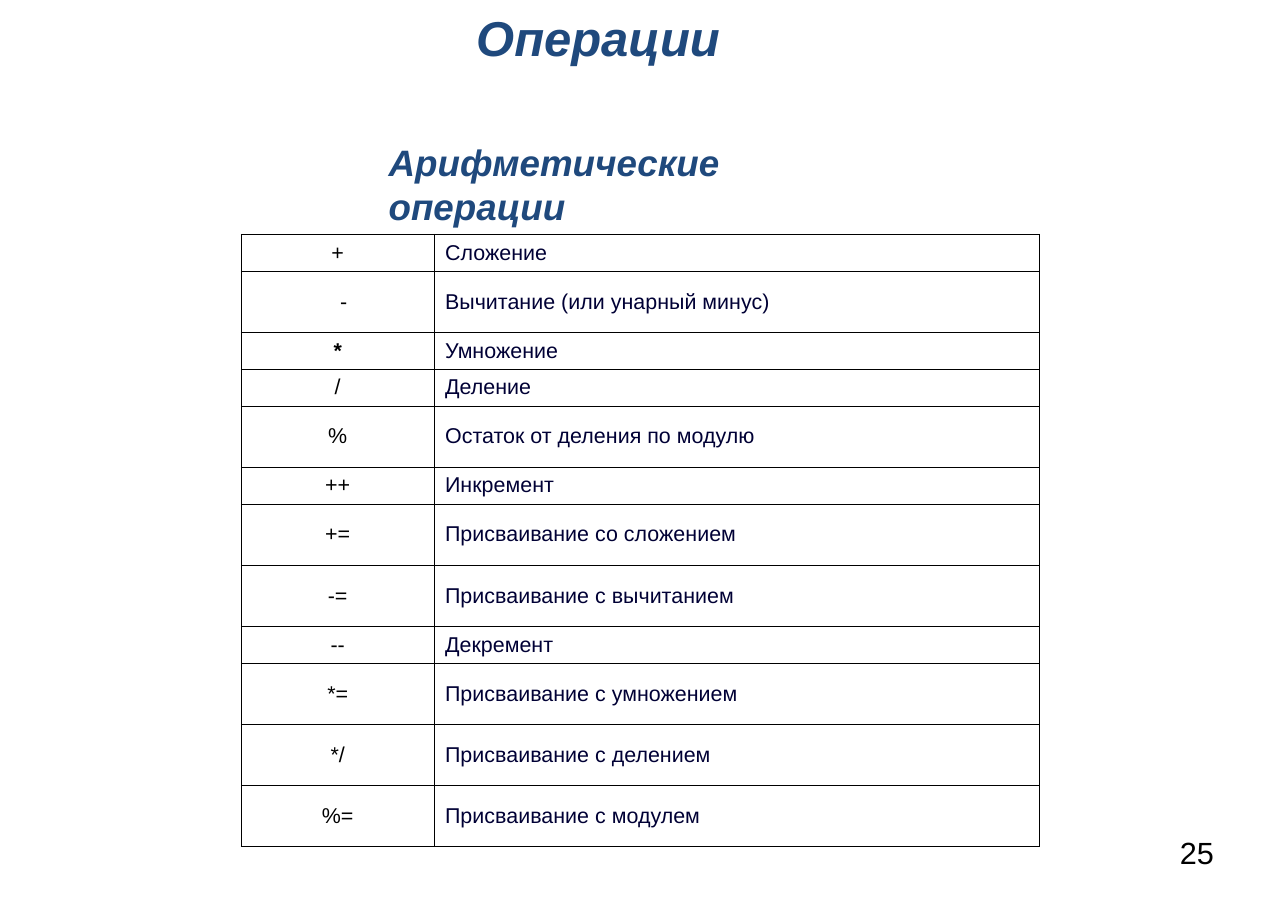
from dataclasses import dataclass

from lxml import etree
from pptx import Presentation
from pptx.dml.color import RGBColor
from pptx.enum.text import MSO_ANCHOR, MSO_AUTO_SIZE, PP_ALIGN
from pptx.oxml.ns import qn
from pptx.util import Cm, Pt

LEFT, CENTER = PP_ALIGN.LEFT, PP_ALIGN.CENTER
TOP, MIDDLE = MSO_ANCHOR.TOP, MSO_ANCHOR.MIDDLE
FIXED_SIZE = MSO_AUTO_SIZE.NONE
TITLE_ONLY = 5


@dataclass(frozen=True)
class Theme:
    """Hold the colours, font and type sizes of the slide."""

    font: str = "Arial"
    heading: str = "1F497D"
    ink: str = "000000"
    meaning: str = "000035"
    paper: str = "FFFFFF"
    title_size: int = 32
    subtitle_size: int = 24
    number_size: int = 20
    table_size: int = 14
    border: float = 0.45


THEME = Theme()

SHORT_ROW, TALL_ROW = 0.85, 1.41
COLUMN_WIDTHS = (4.45, 13.94)
MINUS_SHIFT = 0.28
OPERATIONS = (
    ("+", "Сложение", SHORT_ROW),
    ("-", "Вычитание (или унарный минус)", TALL_ROW),
    ("*", "Умножение", SHORT_ROW),
    ("/", "Деление", SHORT_ROW),
    ("%", "Остаток от деления по модулю", TALL_ROW),
    ("++", "Инкремент", SHORT_ROW),
    ("+=", "Присваивание со сложением", TALL_ROW),
    ("-=", "Присваивание с вычитанием", TALL_ROW),
    ("--", "Декремент", SHORT_ROW),
    ("*=", "Присваивание с умножением", TALL_ROW),
    ("*/", "Присваивание с делением", TALL_ROW),
    ("%=", "Присваивание с модулем", TALL_ROW),
)


def write_text(frame, text, *, size, color, bold=False, italic=False, align=LEFT):
    """Write one formatted paragraph into a text frame."""
    paragraph = frame.paragraphs[0]
    paragraph.alignment = align
    run = paragraph.add_run()
    run.text = text
    run.font.name = THEME.font
    run.font.size = Pt(size)
    run.font.bold = bold
    run.font.italic = italic
    run.font.color.rgb = RGBColor.from_string(color)


def set_margins(holder, horizontal=0.25, vertical=0.13):
    """Set the inner margins of a text frame or a cell."""
    holder.margin_left = holder.margin_right = Cm(horizontal)
    holder.margin_top = holder.margin_bottom = Cm(vertical)


def prepare_frame(shape):
    """Make a text frame wrap, start at the top and keep its size."""
    frame = shape.text_frame
    frame.word_wrap = True
    frame.auto_size = FIXED_SIZE
    frame.vertical_anchor = TOP
    set_margins(frame)
    return frame


def add_title(slide, text):
    """Place and format the title placeholder."""
    title = slide.shapes.title
    title.left, title.top = Cm(3.63), Cm(0.05)
    title.width, title.height = Cm(20.32), Cm(1.63)
    write_text(prepare_frame(title), text, size=THEME.title_size,
               color=THEME.heading, bold=True, italic=True, align=CENTER)


def add_label(slide, text, left, top, width, height, **style):
    """Add a text box with one formatted paragraph."""
    label = slide.shapes.add_textbox(Cm(left), Cm(top), Cm(width), Cm(height))
    frame = prepare_frame(label)
    write_text(frame, text, **style)
    return frame


def outline_cell(cell):
    """Draw thin lines on all four sides of a cell."""
    properties = cell._tc.get_or_add_tcPr()
    for side in ("a:lnL", "a:lnR", "a:lnT", "a:lnB"):
        line = etree.SubElement(properties, qn(side), w=str(int(Pt(THEME.border))))
        fill = etree.SubElement(line, qn("a:solidFill"))
        etree.SubElement(fill, qn("a:srgbClr"), val=THEME.ink)


def fill_cell(cell, text, **style):
    """Format a table cell and write its text."""
    outline_cell(cell)
    cell.fill.solid()
    cell.fill.fore_color.rgb = RGBColor.from_string(THEME.paper)
    cell.vertical_anchor = MIDDLE
    set_margins(cell)
    write_text(cell.text_frame, text, size=THEME.table_size, **style)


def add_operations_table(slide, left, top):
    """Add the table of operators and their meanings."""
    height = sum(row_height for _, _, row_height in OPERATIONS)
    table = slide.shapes.add_table(
        len(OPERATIONS), len(COLUMN_WIDTHS),
        Cm(left), Cm(top), Cm(sum(COLUMN_WIDTHS)), Cm(height)).table
    table.first_row = table.horz_banding = False
    for column, width in zip(table.columns, COLUMN_WIDTHS):
        column.width = Cm(width)
    for index, (operator, meaning, row_height) in enumerate(OPERATIONS):
        table.rows[index].height = Cm(row_height)
        operator_cell = table.cell(index, 0)
        fill_cell(operator_cell, operator, color=THEME.ink,
                  bold=operator == "*", align=CENTER)
        if operator == "-":
            operator_cell.margin_left += Cm(MINUS_SHIFT)
        fill_cell(table.cell(index, 1), meaning, color=THEME.meaning)


def main():
    """Build the slide and save the presentation."""
    presentation = Presentation()
    presentation.slide_width, presentation.slide_height = Cm(29.69), Cm(21.03)
    slide = presentation.slides.add_slide(presentation.slide_layouts[TITLE_ONLY])
    number = add_label(slide, "25", 27.2, 19.23, 0.91, 0.86,
                       size=THEME.number_size, color=THEME.ink)
    set_margins(number, 0, 0)
    add_title(slide, "Операции")
    add_operations_table(slide, 5.56, 5.4)
    add_label(slide, "Арифметические операции", 8.71, 3.1, 12, 2.2,
              size=THEME.subtitle_size, color=THEME.heading,
              bold=True, italic=True)
    presentation.save("out.pptx")


if __name__ == "__main__":
    main()
